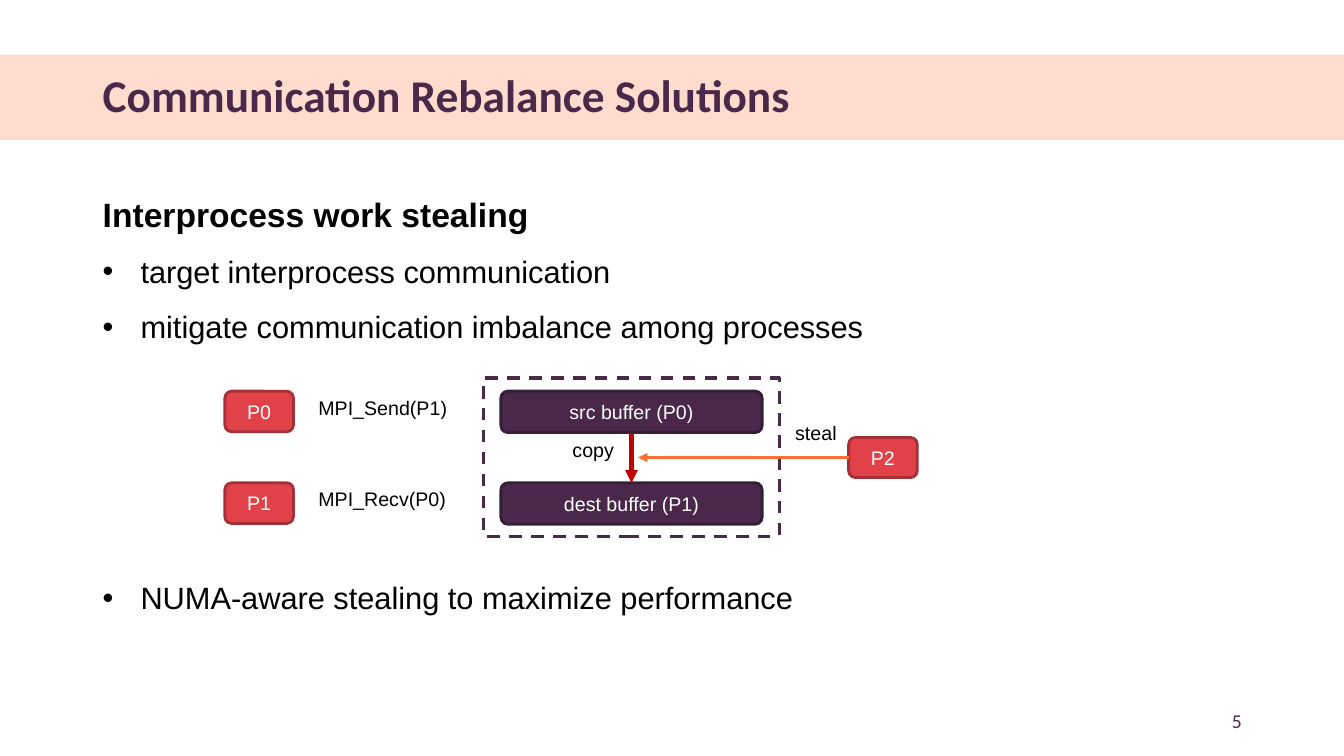
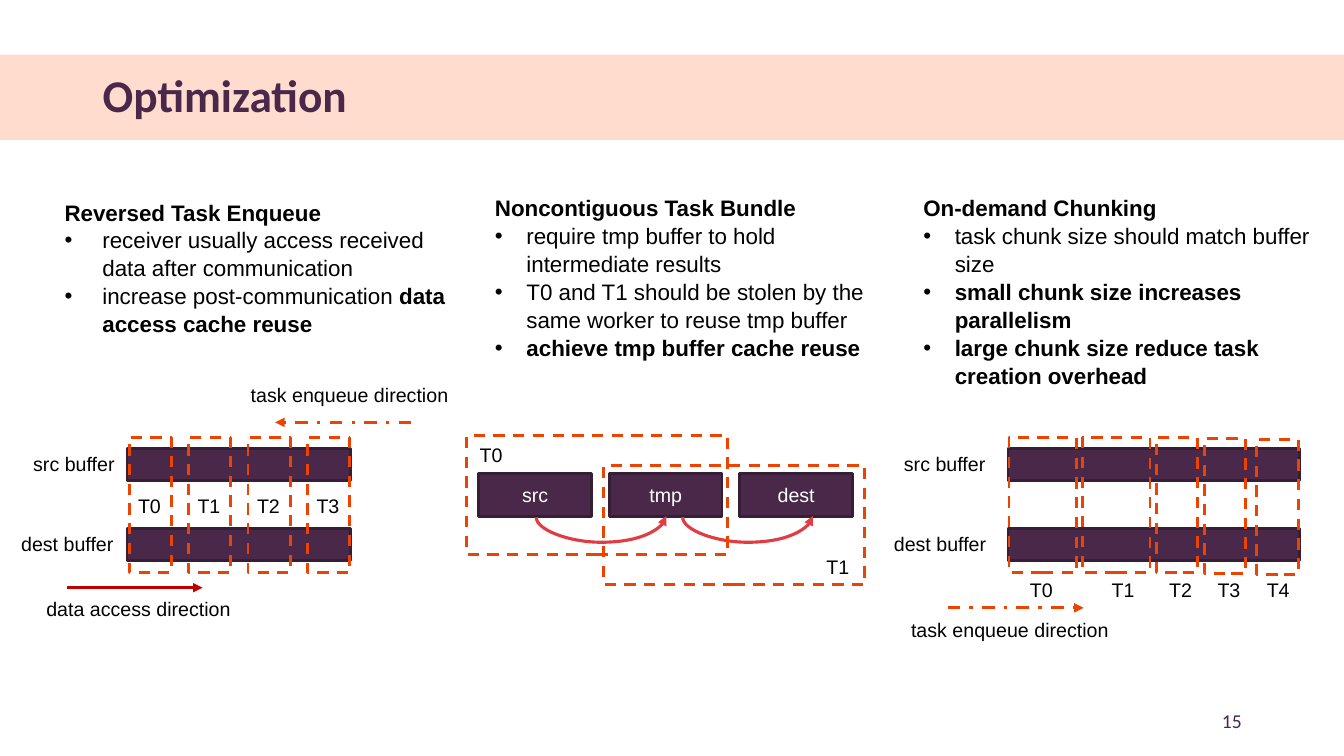
import pptx
import pptx.util
import pptx.dml.color
import pptx.enum.dml
import pptx.enum.shapes
import pptx.enum.text
import pptx.oxml.ns
from lxml import etree

Pt = pptx.util.Pt
RGB = pptx.dml.color.RGBColor
SHAPE = pptx.enum.shapes.MSO_SHAPE
CONNECTOR = pptx.enum.shapes.MSO_CONNECTOR
DASH = pptx.enum.dml.MSO_LINE
ALIGN = pptx.enum.text.PP_ALIGN
ANCHOR = pptx.enum.text.MSO_ANCHOR
AUTO_SIZE = pptx.enum.text.MSO_AUTO_SIZE
qn = pptx.oxml.ns.qn

PLUM = RGB(0x49, 0x28, 0x49)
DARK_PLUM = RGB(0x36, 0x1E, 0x36)
PEACH = RGB(0xFF, 0x91, 0x64)
RED = RGB(0xE1, 0x41, 0x49)
DARK_RED = RGB(0xA6, 0x30, 0x36)
CURVE_RED = RGB(0xE0, 0x3C, 0x44)
ARROW_RED = RGB(0xC0, 0x00, 0x00)
ORANGE = RGB(0xFE, 0x6F, 0x36)
TASK_ORANGE = RGB(0xEC, 0x44, 0x00)
BLACK = RGB(0, 0, 0)
WHITE = RGB(0xFF, 0xFF, 0xFF)

TITLE_FONT = {"name": "Calibri", "size": Pt(32.4), "bold": True}
NUMBER_FONT = {"name": "Calibri", "size": Pt(14)}
LABEL_FONT = {"name": "Arial", "size": Pt(14)}
FRAME = {"word_wrap": True, "auto_size": AUTO_SIZE.NONE,
         "margin_left": Pt(7.2), "margin_right": Pt(7.2),
         "margin_top": Pt(3.6), "margin_bottom": Pt(3.6)}

TASK_TOP, TASK_HEIGHT = 312.5, 96.5
BAR_TOPS = (320.4, 377.3)


def assign(obj, values):
    for name, value in values.items():
        setattr(obj, name, value)


def style_font(font, values, color):
    assign(font, values)
    font.color.rgb = color


def sub(parent, tag, **attrs):
    return etree.SubElement(parent, qn(tag), attrs)


def place(sp, box):
    assign(sp, dict(zip(("left", "top", "width", "height"), map(Pt, box))))


def add_text(s, text, box, values=LABEL_FONT, color=BLACK, align=ALIGN.LEFT, anchor=ANCHOR.TOP):
    tf = s.shapes.add_textbox(*map(Pt, box)).text_frame
    assign(tf, {**FRAME, "vertical_anchor": anchor})
    p = tf.paragraphs[0]
    p.alignment = align
    r = p.add_run()
    r.text = text
    style_font(r.font, values, color)


def add_box(s, box, fill=PLUM, line=DARK_PLUM, text="", kind=SHAPE.RECTANGLE):
    sp = s.shapes.add_shape(kind, *map(Pt, box))
    sp.shadow.inherit = False
    sp.fill.solid()
    sp.fill.fore_color.rgb = fill
    sp.line.color.rgb = line
    sp.line.width = Pt(2)
    if text:
        tf = sp.text_frame
        assign(tf, {**FRAME, "vertical_anchor": ANCHOR.MIDDLE})
        p = tf.paragraphs[0]
        p.alignment = ALIGN.CENTER
        r = p.add_run()
        r.text = text
        style_font(r.font, LABEL_FONT, WHITE)
    return sp


def add_outline(s, box, color=TASK_ORANGE, width=2):
    sp = s.shapes.add_shape(SHAPE.RECTANGLE, *map(Pt, box))
    sp.shadow.inherit = False
    sp.fill.background()
    sp.line.color.rgb = color
    assign(sp.line, {"width": Pt(width), "dash_style": DASH.DASH})


def add_arrow(s, start, end, color, width=2.25, dash=None, kind=CONNECTOR.STRAIGHT):
    c = s.shapes.add_connector(kind, *map(Pt, (*start, *end)))
    c.line.color.rgb = color
    assign(c.line, {"width": Pt(width), "dash_style": dash})
    spPr = c.element.spPr
    sub(spPr.find(qn("a:ln")), "a:tailEnd", type="triangle")
    sub(spPr, "a:effectLst")
    return c


def add_dip_curve(s, left, right, y, depth=18):
    cx, span = (left + right) / 2, right - left
    c = add_arrow(s, (cx - 0.5, y - span / 2), (cx + 0.5, y + span / 2), CURVE_RED,
                  kind=CONNECTOR.CURVE)
    spPr = c.element.spPr
    for name, value in {"rot": "5400000", "flipH": "1", "flipV": "1"}.items():
        spPr.find(qn("a:xfrm")).set(name, value)
    geom = spPr.find(qn("a:prstGeom"))
    guides = geom.find(qn("a:avLst"))
    if guides is None:
        guides = sub(geom, "a:avLst")
    sub(guides, "a:gd", name="adj1", fmla=f"val {-depth * 100000}")


def set_bullet(p, indent):
    pPr = p._p.get_or_add_pPr()
    pPr.set("marL", str(Pt(indent)))
    pPr.set("indent", str(-Pt(indent)))
    if indent:
        sub(sub(pPr, "a:buClr"), "a:srgbClr", val=str(BLACK))
        sub(pPr, "a:buFont", typeface="Arial")
        sub(pPr, "a:buChar", char="•")
    else:
        sub(pPr, "a:buNone")


def fill_list(sp, box, heading, items, indent, sizes, gap=0):
    place(sp, box)
    tf = sp.text_frame
    assign(tf, {**FRAME, "vertical_anchor": ANCHOR.TOP})
    for i, runs in enumerate([[(heading, True)], *items]):
        p = tf.paragraphs[0] if i == 0 else tf.add_paragraph()
        set_bullet(p, indent if i else 0)
        assign(p, {"alignment": ALIGN.LEFT, "line_spacing": 1.04,
                   "space_before": Pt(gap if i else 0), "space_after": Pt(gap)})
        for text, bold in runs:
            r = p.add_run()
            r.text = text
            style_font(r.font, {"name": "Arial", "size": Pt(sizes[min(i, 1)]), "bold": bold}, BLACK)
    return tf


def add_slide(prs, layout, title, number, body_count):
    s = prs.slides.add_slide(prs.slide_layouts[layout])
    sp = s.shapes.title
    place(sp, (66.2, 51.5, 828, 37.4))
    tf = sp.text_frame
    assign(tf, {**FRAME, "vertical_anchor": ANCHOR.MIDDLE})
    p = tf.paragraphs[0]
    assign(p, {"alignment": ALIGN.LEFT, "line_spacing": 0.9})
    r = p.add_run()
    r.text = title
    style_font(r.font, TITLE_FONT, PLUM)
    add_text(s, number, (678.2, 500.4, 216, 28.8), NUMBER_FONT, PLUM, ALIGN.RIGHT, ANCHOR.MIDDLE)
    bodies = [ph for ph in s.placeholders if ph.placeholder_format.idx]
    for ph in bodies[body_count:]:
        ph.element.getparent().remove(ph.element)
    return s, bodies[:body_count]


def move_band_to_master(prs, s):
    band = add_box(s, (0, 39, 960, 61), fill=PEACH)
    band.line.fill.background()
    color = band.element.spPr.find(qn("a:solidFill")).find(qn("a:srgbClr"))
    sub(color, "a:alpha", val="31000")
    band.element.nvSpPr.cNvPr.set("id", "20")
    prs.slide_master.shapes.element.insert(2, band.element)


def add_buffer_bars(s, left, width, label_lefts):
    for top, name, x in zip(BAR_TOPS, ("src buffer", "dest buffer"), label_lefts):
        add_box(s, (left, top, width, 23))
        add_text(s, name, (x, top - 1.2, 95, 24.5))


def build_rebalance(prs):
    s, (body,) = add_slide(prs, 1, "Communication Rebalance Solutions", "5", 1)
    move_band_to_master(prs, s)
    items = ("target interprocess communication",
             "mitigate communication imbalance among processes",
             "NUMA-aware stealing to maximize performance")
    tf = fill_list(body, (66.2, 134, 683.3, 307.4), "Interprocess work stealing",
                   [[(text, False)] for text in items], 27, (24, 22), gap=6)
    tf.paragraphs[-1].space_before = Pt(160)

    rounded = SHAPE.ROUNDED_RECTANGLE
    buffers = []
    rows = ((279.4, "P0", "MPI_Send(P1)", "src buffer (P0)"),
            (344.9, "P1", "MPI_Recv(P0)", "dest buffer (P1)"))
    for top, process, call, name in rows:
        add_box(s, (160.6, top, 49, 29), RED, DARK_RED, process, rounded)
        add_text(s, call, (220.3, top - 0.3, 120, 30))
        buffers.append(add_box(s, (357.8, top, 186.6, 29.6), text=name, kind=rounded))
    thief = add_box(s, (606.2, 312.5, 49, 28.6), RED, DARK_RED, "P2", rounded)
    add_outline(s, (345.6, 270, 211, 113), PLUM, 2.25)
    copy_arrow = add_arrow(s, (451.1, 309), (451.1, 344.9), ARROW_RED, 3)
    copy_arrow.begin_connect(buffers[0], 2)
    copy_arrow.end_connect(buffers[1], 0)
    steal_arrow = add_arrow(s, (606.2, 326.8), (455.8, 326.8), ORANGE)
    steal_arrow.begin_connect(thief, 1)
    add_text(s, "steal", (560.9, 297.4, 49, 30))
    add_text(s, "copy", (401.8, 309, 49, 30))


def draw_reversed_enqueue(s):
    add_buffer_bars(s, 90.7, 160, (16.6, 8))
    for i in range(4):
        x = 92.2 + 42.5 * i
        add_outline(s, (x, TASK_TOP, 30.2, TASK_HEIGHT))
        add_text(s, f"T{i}", (x - 0.7, 349.2, 35.3, 24.5))
    add_arrow(s, (48.2, 419.8), (144.7, 419.8), ARROW_RED)
    add_text(s, "data access direction", (26, 422.6, 152, 24.5))
    add_arrow(s, (293.8, 301.7), (196.6, 301.7), TASK_ORANGE, dash=DASH.DASH_DOT)
    add_text(s, "task enqueue direction", (172, 270, 156.2, 24.5))


def draw_task_bundle(s):
    for i, name in enumerate(("src", "tmp", "dest")):
        add_box(s, (342 + 93.2 * i, 338, 80.6, 31), text=name)
    for left in (383, 487.6):
        add_dip_curve(s, left, left + 93, 369)
    for left, top in ((333.4, 311), (431.3, 332.6)):
        add_outline(s, (left, top, 186.5, 85))
    for name, left, top in (("T0", 335.5, 312.5), ("T1", 583.2, 393.1)):
        add_text(s, name, (left, top, 57, 24.5))


def draw_chunking(s):
    add_buffer_bars(s, 720, 208, (638.6, 631.4))
    chunks = ((720.7, 48.2, 0, 728.6), (773.3, 48.2, 0, 787), (825.8, 29.5, 0, 828),
              (860.4, 29.5, 0.7, 862.6), (897.8, 29.5, 1.4, 897.8))
    for i, (left, width, drop, label_left) in enumerate(chunks):
        add_outline(s, (left, TASK_TOP + drop, width, TASK_HEIGHT))
        add_text(s, f"T{i}", (label_left, 409, 43.2, 24.5))
    add_arrow(s, (676.8, 434.2), (774, 434.2), TASK_ORANGE, dash=DASH.DASH_DOT)
    add_text(s, "task enqueue direction", (643.7, 437.8, 156.2, 24.5))


def build_optimization(prs):
    columns = (
        ((38.9, 137.5, 294.5, 104.4), 27, "Reversed Task Enqueue",
         [[("receiver usually access received data after communication", False)],
          [("increase post-communication ", False), ("data access cache reuse", True)]]),
        ((346.3, 134.6, 294.5, 123.8), 22.5, "Noncontiguous Task Bundle",
         [[("require tmp buffer to hold intermediate results", False)],
          [("T0 and T1 should be stolen by the same worker to reuse tmp buffer", False)],
          [("achieve tmp buffer cache reuse", True)]]),
        ((652.3, 134.6, 294.5, 162.7), 22.5, "On-demand Chunking",
         [[("task chunk size should match buffer size", False)],
          [("small chunk size increases parallelism", True)],
          [("large chunk size reduce task creation overhead", True)]]),
    )
    s, bodies = add_slide(prs, 4, "Optimization", "15", len(columns))
    for body, (box, indent, heading, items) in zip(bodies, columns):
        fill_list(body, box, heading, items, indent, (16, 16))
    draw_reversed_enqueue(s)
    draw_task_bundle(s)
    draw_chunking(s)


def main():
    prs = pptx.Presentation()
    assign(prs, {"slide_width": Pt(960), "slide_height": Pt(540)})
    build_rebalance(prs)
    build_optimization(prs)
    prs.save("out.pptx")


if __name__ == "__main__":
    main()
